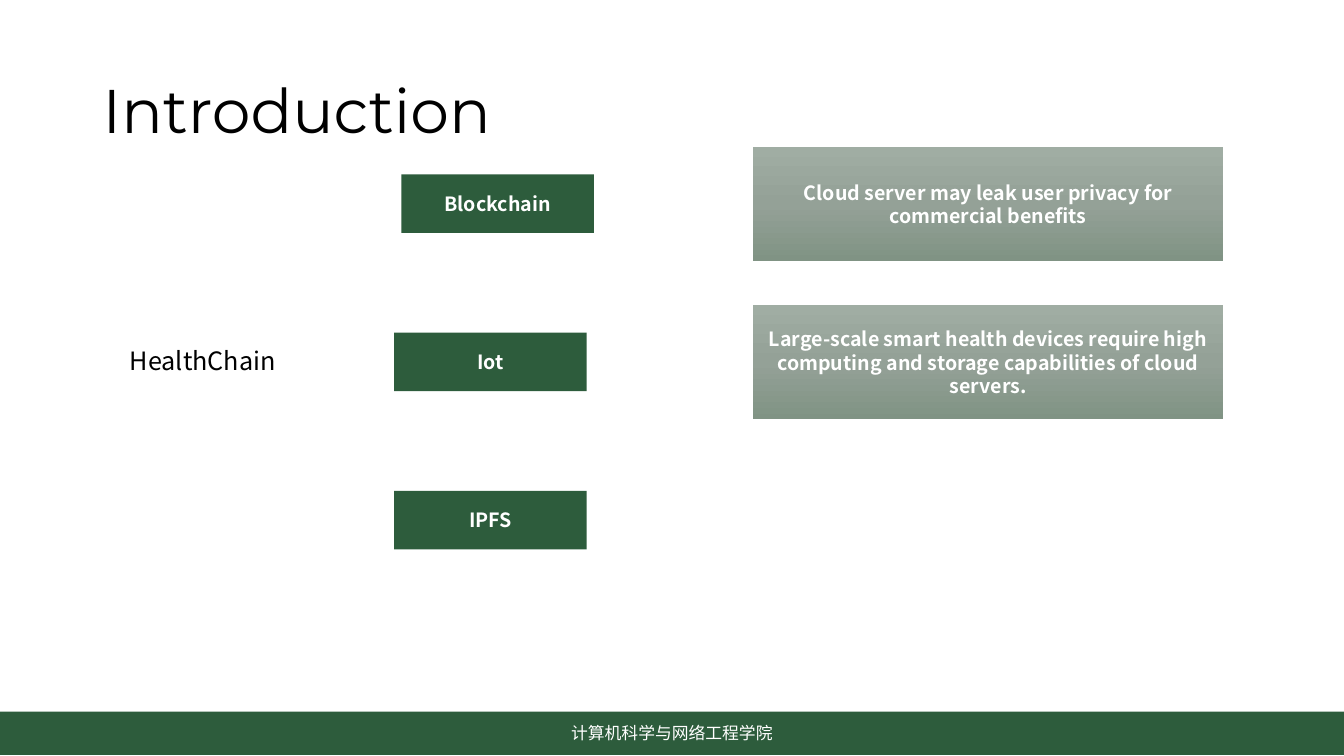
from copy import deepcopy

from pptx import Presentation
from pptx.dml.color import RGBColor
from pptx.enum.shapes import MSO_SHAPE
from pptx.enum.text import MSO_ANCHOR, PP_ALIGN
from pptx.oxml.ns import qn
from pptx.util import Inches, Pt

COLORS = {"green": "2D5C3C", "white": "FFFFFF", "black": "000000",
          "sage_top": "A0ADA3", "sage_middle": "94A197", "sage_bottom": "809384"}
BODY_FONT = "Noto Sans CJK SC"
SLIDE_WIDTH, SLIDE_HEIGHT = 13.33, 7.5
ROW_PITCH = 1.57


def color(name):
    """Return the named colour."""
    return RGBColor.from_string(COLORS[name])


def write(frame, text, size=14, font=BODY_FONT, ink="white", bold=False,
          align=PP_ALIGN.CENTER, anchor=MSO_ANCHOR.MIDDLE, wrap=True, spacing=None):
    """Write one formatted paragraph into a text frame."""
    frame.word_wrap = wrap
    frame.vertical_anchor = anchor
    paragraph = frame.paragraphs[0]
    paragraph.alignment = align
    paragraph.line_spacing = spacing
    run = paragraph.add_run()
    run.text = text
    run.font.size = Pt(size)
    run.font.name = font
    run.font.bold = bold
    run.font.color.rgb = color(ink)


def add_label(slide, box, text, **style):
    """Place a text box in the given box."""
    label = slide.shapes.add_textbox(*map(Inches, box))
    write(label.text_frame, text, **style)


def add_block(slide, box):
    """Place a green rectangle without outline or shadow."""
    block = slide.shapes.add_shape(MSO_SHAPE.RECTANGLE, *map(Inches, box))
    block.shadow.inherit = False
    block.line.fill.background()
    block.fill.solid()
    block.fill.fore_color.rgb = color("green")
    return block


def shade(block):
    """Fill a block with the three-stop sage gradient, top to bottom."""
    block.fill.gradient()
    block.fill.gradient_angle = 270
    stop_list = block.element.spPr.find(qn("a:gradFill")).find(qn("a:gsLst"))
    stop_list.append(deepcopy(stop_list[-1]))
    names = ("sage_top", "sage_middle", "sage_bottom")
    for index, (stop, name) in enumerate(zip(block.fill.gradient_stops, names)):
        stop.position = index / 2
        stop.color.rgb = color(name)


def add_footer(slide, left, top, width, height):
    """Draw the footer band with the school name centred in it."""
    add_block(slide, (left, top, width, height))
    name_width = 4.5
    add_label(slide, (left + (width - name_width) / 2, top + 0.01, name_width, 0.4),
              "计算机科学与网络工程学院", size=12, font="Arial")


def add_technologies(slide, left, top, width, height):
    """Stack the technology blocks, the first one set slightly to the right."""
    technologies = (("Blockchain", 0.07), ("Iot", 0), ("IPFS", 0))
    for row, (technology, shift) in enumerate(technologies):
        block = add_block(slide, (left + shift, top + row * ROW_PITCH, width, height))
        write(block.text_frame, technology, bold=True)


def add_problems(slide, left, top, width, height):
    """Stack the shaded problem statements."""
    problems = (
        "Cloud server may leak user privacy for commercial benefits",
        "Large-scale smart health devices require high computing and storage "
        "capabilities of cloud servers.",
    )
    for row, problem in enumerate(problems):
        block = add_block(slide, (left, top + row * ROW_PITCH, width, height))
        shade(block)
        write(block.text_frame, problem, bold=True)


def main():
    """Build and save the introduction slide."""
    deck = Presentation()
    deck.slide_width, deck.slide_height = Inches(SLIDE_WIDTH), Inches(SLIDE_HEIGHT)
    slide = deck.slides.add_slide(deck.slide_layouts[6])
    add_footer(slide, 0, 7.06, SLIDE_WIDTH, 0.43)
    add_label(slide, (0.92, 0.4, 11.5, 1.45), "Introduction", size=44,
              font="Montserrat", ink="black", align=PP_ALIGN.LEFT, spacing=0.9)
    add_label(slide, (1.19, 3.38, 2.05, 0.61), "HealthChain", size=18, ink="black",
              align=PP_ALIGN.LEFT, anchor=MSO_ANCHOR.TOP, wrap=False)
    add_technologies(slide, 3.91, 1.73, 1.91, 0.58)
    add_problems(slide, 7.47, 1.46, 4.66, 1.13)
    deck.save("out.pptx")


if __name__ == "__main__":
    main()
